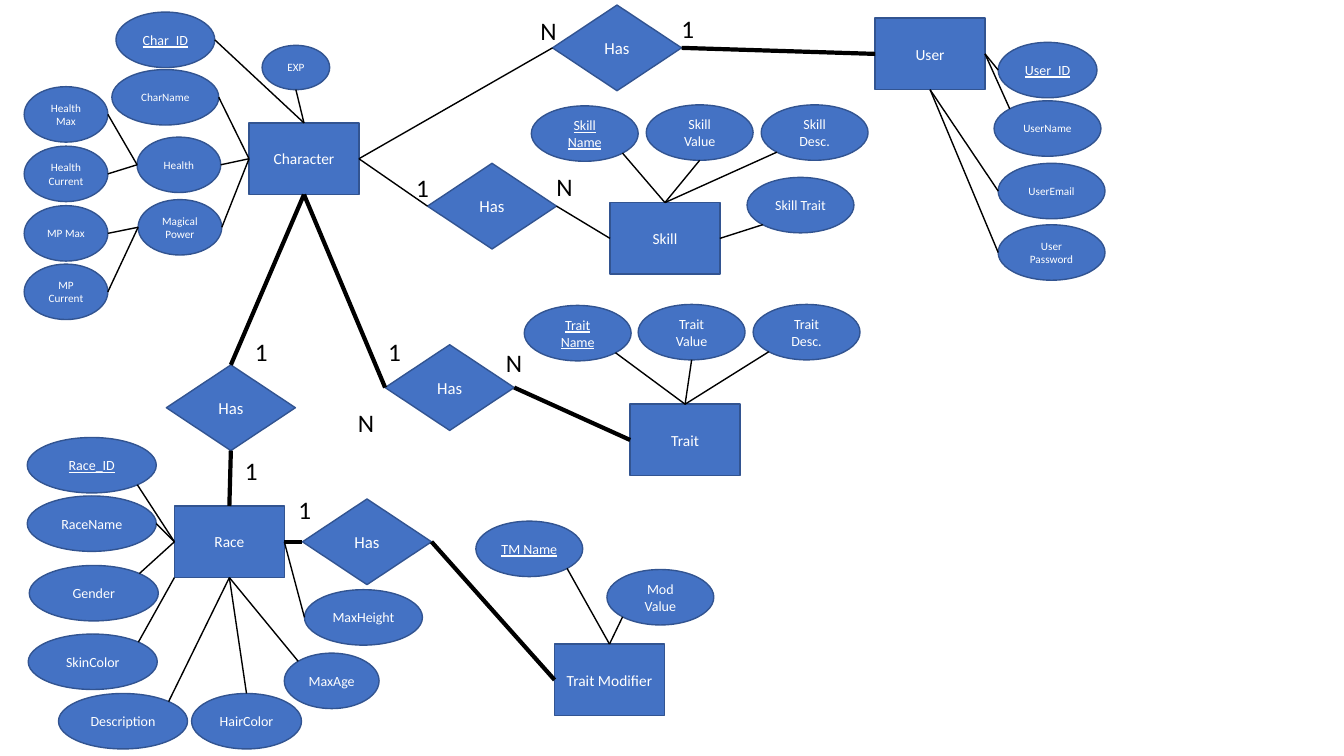
from lxml import etree
from pptx import Presentation
from pptx.dml.color import RGBColor
from pptx.enum.shapes import MSO_CONNECTOR, MSO_SHAPE
from pptx.enum.text import MSO_ANCHOR, PP_ALIGN
from pptx.oxml.ns import qn
from pptx.util import Emu, Pt

PX = 9144
BLUE = RGBColor(0x44, 0x72, 0xC4)
EDGE = RGBColor(0x32, 0x54, 0x91)
WHITE = RGBColor(255, 255, 255)
BLACK = RGBColor(0, 0, 0)
RECT, OVAL, DIAMOND = MSO_SHAPE.RECTANGLE, MSO_SHAPE.OVAL, MSO_SHAPE.DIAMOND
STRAIGHT = MSO_CONNECTOR.STRAIGHT
MIDDLE, CENTER, LEFT = MSO_ANCHOR.MIDDLE, PP_ALIGN.CENTER, PP_ALIGN.LEFT
SITES = {"N": 0, "W": 1, "S": 2, "E": 3}
STEPS = {"N": (0, -1), "S": (0, 1), "W": (-1, 0), "E": (1, 0)}
ROOT = 0.5 ** 0.5
THIN, THICK = 1, 3

CHAR = [
    ("Char_ID", -132, -110, 98, 55, 10, "E", "N"),
    ("CharName", -136, -53, 106, 55, 8, "E", "W"),
    ("EXP", 13, -77, 67, 44, 8, "S", "N"),
    ("Health", -111, 14, 83, 55, 8, "E", "W"),
    ("Magical\nPower", -110, 76, 83, 55, 8, "E", "W"),
]
HEALTH = [
    ("Health Max", -112, -50, 83, 55, 8, "E", "W"),
    ("Health Current", -112, 9, 83, 55, 8, "E", "W"),
]
MAGIC = [
    ("MP Max", -113, 6, 83, 55, 8, "E", "W"),
    ("MP Current", -113, 64, 83, 55, 8, "E", "W"),
]
USER = [
    ("User_ID", 122, 24, 98, 55, 10, "W", "E"),
    ("UserName", 118, 82, 106, 55, 8, "NW", "E"),
    ("UserEmail", 122, 144, 106, 55, 8, "W", "S"),
    ("User\nPassword", 122, 205, 106, 55, 8, "W", "S"),
]
SKILL = [
    ("Skill Name", -78, -96, 106, 55, 10, "SE", "N"),
    ("Skill Value", 36, -97, 106, 55, 10, "S", "N"),
    ("Skill Desc.", 150, -97, 106, 55, 10, "SW", "N"),
    ("Skill Trait", 136, -25, 106, 55, 10, "SW", "E"),
]
TRAIT = [
    ("Trait Name", -105, -98, 106, 55, 10, "SE", "N"),
    ("Trait Value", 8, -99, 106, 55, 10, "S", "N"),
    ("Trait Desc.", 122, -99, 106, 55, 10, "SW", "N"),
]
RACE = [
    ("Race_ID", -146, -68, 128, 55, 10, "SE", "W"),
    ("RaceName", -146, -10, 128, 55, 10, "E", "W"),
    ("Gender", -144, 59, 128, 55, 10, "NE", "W"),
    ("SkinColor", -145, 127, 128, 55, 10, "NE", "SW"),
    ("Description", -115, 186, 128, 55, 10, "NE", "S"),
    ("HairColor", 17, 186, 109, 55, 10, "N", "S"),
    ("MaxAge", 109, 146, 94, 55, 10, "NW", "S"),
    ("MaxHeight", 129, 83, 117, 55, 10, "W", "E"),
]
MOD = [
    ("TM Name", -78, -122, 106, 55, 10, "SE", "N"),
    ("Mod Value", 52, -74, 106, 55, 10, "SW", "N"),
]


def write(shape, text, align, **style):
    """Fill a shape with text in one format."""
    frame = shape.text_frame
    frame.word_wrap = True
    frame.text = text
    color = style.pop("color")
    for para in frame.paragraphs:
        para.alignment = align
        for run in para.runs:
            run.font.color.rgb = color
            for key, value in style.items():
                setattr(run.font, key, value)


def node(slide, kind, box, text, size, key=False):
    """Draw one blue labelled shape."""
    shape = slide.shapes.add_shape(kind, *[Emu(n * PX) for n in box])
    shape.shadow.inherit = False
    shape.fill.solid()
    shape.fill.fore_color.rgb = BLUE
    shape.line.color.rgb = EDGE
    shape.line.width = Pt(1)
    write(shape, text, CENTER, name="Calibri", size=Pt(size), color=WHITE,
          underline=key or None)
    shape.text_frame.vertical_anchor = MIDDLE
    return shape


def point(shape, side):
    """Find the point on a shape's outline at a compass side."""
    curve = ROOT if len(side) == 2 and shape.auto_shape_type == OVAL else 1
    dx, dy = [sum(STEPS[c][axis] for c in side) * curve for axis in (0, 1)]
    return (Emu(int(shape.left + shape.width * (1 + dx) / 2)),
            Emu(int(shape.top + shape.height * (1 + dy) / 2)))


def link(slide, start, out, end, into, weight=THIN):
    """Join two shapes with a straight black line."""
    line = slide.shapes.add_connector(
        STRAIGHT, *point(start, out), *point(end, into))
    line.line.color.rgb = BLACK
    line.line.width = Pt(weight)
    etree.SubElement(line.element.spPr, qn("a:effectLst"))
    for shape, side, join in ((start, out, line.begin_connect),
                              (end, into, line.end_connect)):
        if shape.auto_shape_type != OVAL and side in SITES:
            join(shape, SITES[side])


def fan(slide, hub, left, top, rows, keyed=True):
    """Draw the attributes around a hub, the first one as its key."""
    ovals = []
    for i, (text, dx, dy, wide, high, size, out, into) in enumerate(rows):
        box = (left + dx, top + dy, wide, high)
        oval = node(slide, OVAL, box, text, size, keyed and i == 0)
        link(slide, oval, out, hub, into)
        ovals.append(oval)
    return ovals


def entity(slide, left, top, name, rows):
    """Draw an entity with its attributes."""
    hub = node(slide, RECT, (left, top, 109, 71), name, 11)
    return hub, fan(slide, hub, left, top, rows)


def relate(slide, left, top, ends, marks):
    """Draw a relationship with its lines and cardinalities."""
    gem = node(slide, DIAMOND, (left, top, 128, 85), "Has", 12)
    for hub, out, into, weight in ends:
        link(slide, hub, out, gem, into, weight)
    for text, dx, dy in marks:
        box = (left + dx, top + dy, 39, 40)
        mark = slide.shapes.add_textbox(*[Emu(n * PX) for n in box])
        write(mark, text, LEFT, name="Calibri", size=Pt(18), color=BLACK)


def main():
    """Build the entity diagram and save it."""
    deck = Presentation()
    deck.slide_width, deck.slide_height = Emu(1333 * PX), Emu(750 * PX)
    slide = deck.slides.add_slide(deck.slide_layouts[6])
    char, ovals = entity(slide, 247, 122, "Character", CHAR)
    for oval, rows in zip(ovals[3:], (HEALTH, MAGIC)):
        fan(slide, oval, oval.left // PX, oval.top // PX, rows, False)
    user, _ = entity(slide, 868, 18, "User", USER)
    skill, _ = entity(slide, 605, 201, "Skill", SKILL)
    trait, _ = entity(slide, 625, 401, "Trait", TRAIT)
    race, _ = entity(slide, 173, 502, "Race", RACE)
    mod, _ = entity(slide, 550, 639, "Trait Modifier", MOD)
    relate(slide, 548, 5,
           [(char, "E", "W", THIN), (user, "W", "E", THICK)],
           [("N", -22, 5), ("1", 118, 3)])
    relate(slide, 424, 162,
           [(char, "E", "W", THIN), (skill, "W", "E", THIN)],
           [("1", -21, 4), ("N", 118, 3)])
    relate(slide, 382, 342,
           [(char, "S", "W", THICK), (trait, "W", "E", THICK)],
           [("1", -7, -13), ("N", 110, -2)])
    relate(slide, 165, 362,
           [(char, "S", "N", THICK), (race, "N", "S", THICK)],
           [("1", 78, -33), ("1", 68, 85)])
    relate(slide, 300, 495,
           [(race, "E", "W", THICK), (mod, "W", "E", THICK)],
           [("1", -14, -9), ("N", 45, -96)])
    deck.save("out.pptx")


if __name__ == "__main__":
    main()
